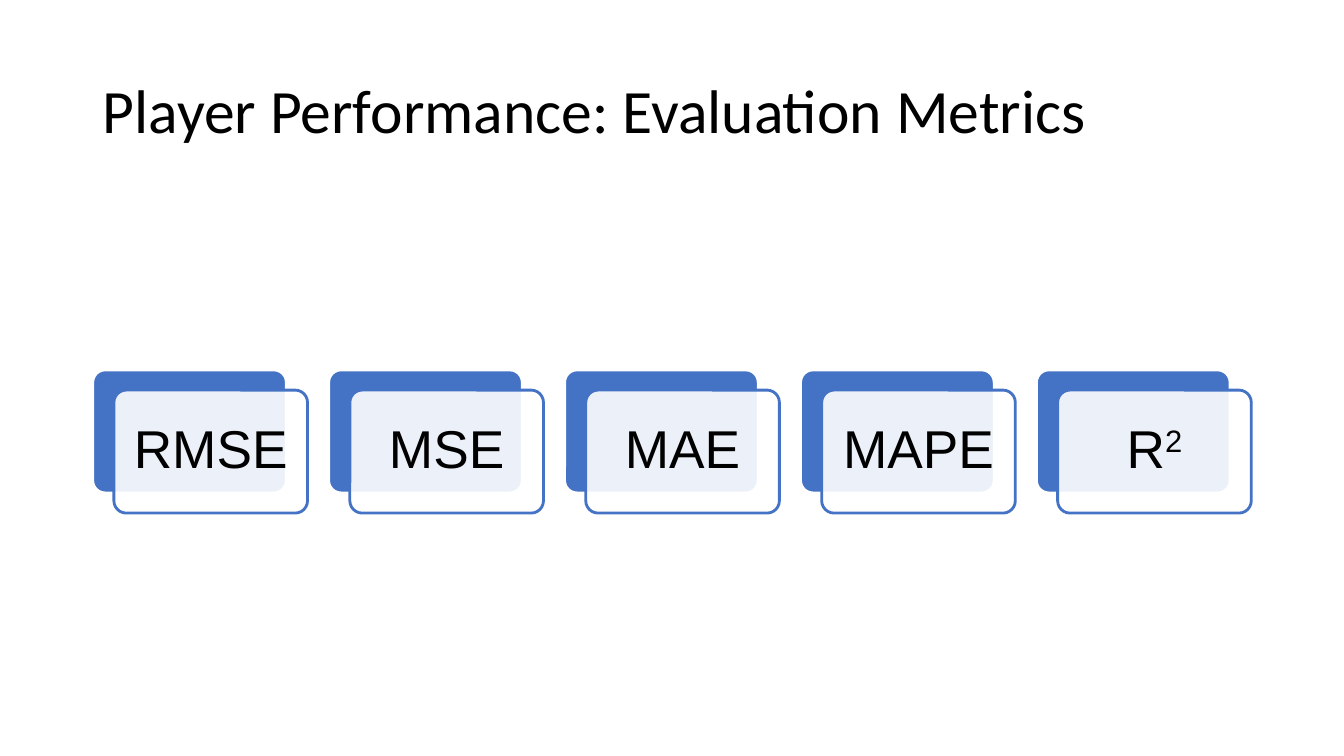
"""Builds the slide on evaluation metrics for player performance."""
import pptx
import pptx.util
import pptx.dml.color
import pptx.enum.shapes
import pptx.enum.text
import pptx.oxml.ns
import lxml.etree

Inches, Pt = pptx.util.Inches, pptx.util.Pt
ALIGN, ANCHOR = pptx.enum.text.PP_ALIGN, pptx.enum.text.MSO_ANCHOR

TITLE = "Player Performance: Evaluation Metrics"
METRICS = [("RMSE", ""), ("MSE", ""), ("MAE", ""), ("MAPE", ""), ("R", "2")]
COLORS = {"blue": "4472C4", "white": "FFFFFF", "black": "000000"}

SLIDE_W, SLIDE_H = 13.33, 7.5
LEFT, TOP = 0.92, 3.67
CARD_W, CARD_H = 1.92, 1.22
PITCH = 2.34
SHIFT_X, SHIFT_Y = 0.21, 0.2


def rgb(name):
    return pptx.dml.color.RGBColor.from_string(COLORS[name])


def set_text(tf, text, font, size, align):
    tf.vertical_anchor = ANCHOR.MIDDLE
    p = tf.paragraphs[0]
    p.alignment = align
    p.line_spacing = 0.9
    p.font.name, p.font.size = font, Pt(size)
    p.font.color.rgb = rgb("black")
    p.add_run().text = text
    return p


def add_card(slide, x, y, fill, line):
    sp = slide.shapes.add_shape(
        pptx.enum.shapes.MSO_SHAPE.ROUNDED_RECTANGLE,
        Inches(x), Inches(y), Inches(CARD_W), Inches(CARD_H))
    sp.adjustments[0] = 0.1
    sp.shadow.inherit = False
    sp.fill.solid()
    sp.fill.fore_color.rgb = rgb(fill)
    sp.line.color.rgb = rgb(line)
    sp.line.width = Pt(2)
    return sp


def add_metric(slide, x, name, power):
    add_card(slide, x, TOP, "blue", "white")
    sp = add_card(slide, x + SHIFT_X, TOP + SHIFT_Y, "white", "blue")
    qn = pptx.oxml.ns.qn
    color = sp.fill._xPr.find(qn("a:solidFill")).find(qn("a:srgbClr"))
    lxml.etree.SubElement(color, qn("a:alpha")).set("val", "90000")
    tf = sp.text_frame
    tf.word_wrap = False
    tf.margin_left = tf.margin_right = Inches(0.16)
    tf.margin_top = tf.margin_bottom = Inches(0.16)
    p = set_text(tf, name, "Arial", 38, ALIGN.CENTER)
    if power:
        r = p.add_run()
        r.text = power
        r.font._element.set("baseline", "30000")


def main():
    prs = pptx.Presentation()
    prs.slide_width, prs.slide_height = Inches(SLIDE_W), Inches(SLIDE_H)
    slide = prs.slides.add_slide(prs.slide_layouts[5])
    title = slide.shapes.title
    title.left, title.top = Inches(LEFT), Inches(0.4)
    title.width, title.height = Inches(11.5), Inches(1.45)
    set_text(title.text_frame, TITLE, "Calibri", 44, ALIGN.LEFT)
    for i, (name, power) in enumerate(METRICS):
        add_metric(slide, LEFT + i * PITCH, name, power)
    prs.save("out.pptx")


if __name__ == "__main__":
    main()
